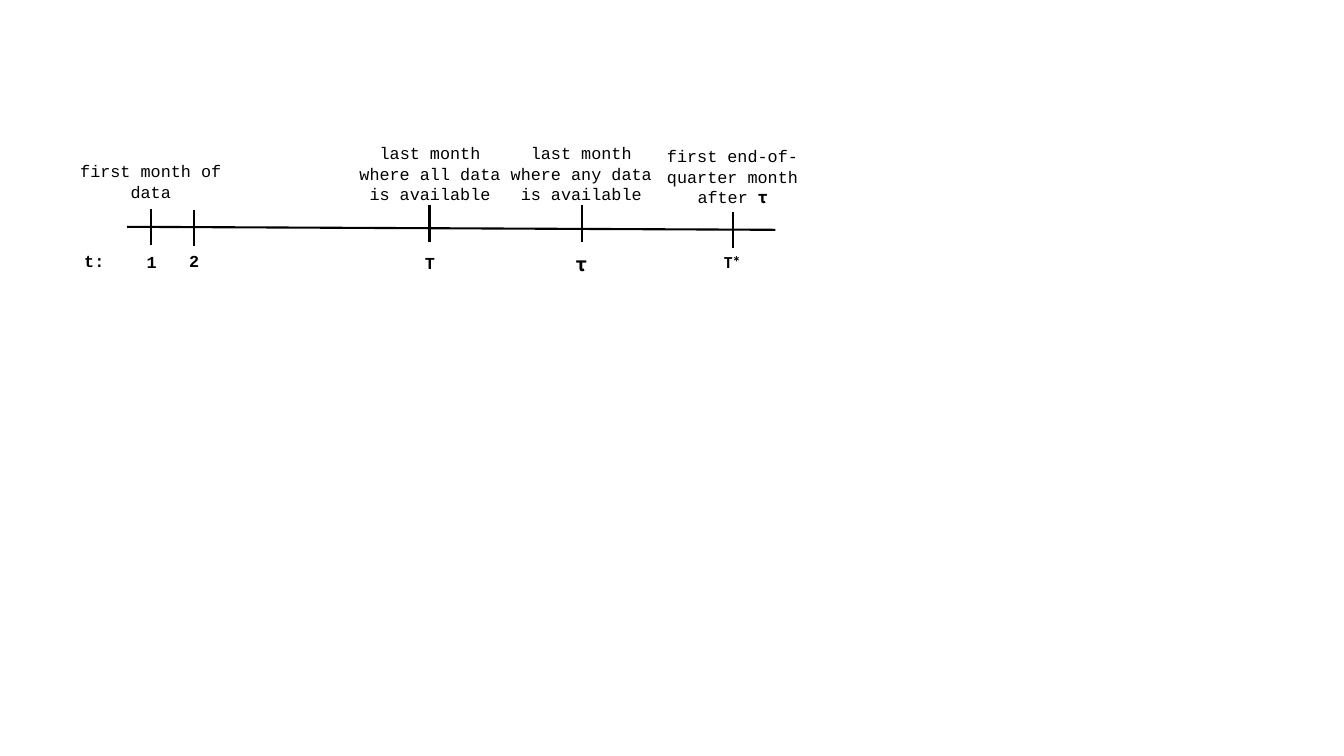
import lxml.etree
import pptx
import pptx.util
import pptx.dml.color
import pptx.enum.shapes
import pptx.enum.text
import pptx.oxml.ns
from pptx.util import Inches

COLOURS = {"ink": "000000", "background": "FFFFFF"}
MONO, SANS = "Courier New", "Calibri"
TAU = "\U0001D6D5"
LABEL_WIDTH = 1.61


class TimelineSlide:
    """Holds the style and the current slide."""

    def __init__(self, deck):
        self.slide = deck.slides.add_slide(deck.slide_layouts[6])
        self.ink = pptx.dml.color.RGBColor.from_string(COLOURS["ink"])
        fill = self.slide.background.fill
        fill.solid()
        fill.fore_color.rgb = pptx.dml.color.RGBColor.from_string(COLOURS["background"])

    def line(self, start, end):
        ends = [Inches(value) for value in (*start, *end)]
        connector = self.slide.shapes.add_connector(
            pptx.enum.shapes.MSO_CONNECTOR.STRAIGHT, *ends)
        connector.line.color.rgb = self.ink
        connector.line.width = pptx.util.Pt(1.5)
        lxml.etree.SubElement(connector._element.spPr, pptx.oxml.ns.qn("a:effectLst"))

    def text(self, left, top, width, height, spans):
        """Add centred text; each span is (words, format values)."""
        box = self.slide.shapes.add_textbox(
            Inches(left), Inches(top), Inches(width), Inches(height))
        box.text_frame.word_wrap = True
        box.text_frame.auto_size = pptx.enum.text.MSO_AUTO_SIZE.SHAPE_TO_FIT_TEXT
        para = box.text_frame.paragraphs[0]
        para.alignment = pptx.enum.text.PP_ALIGN.CENTER
        for words, changes in spans:
            span = para.add_run()
            span.text = words
            values = {"name": MONO, "size": pptx.util.Pt(12), **changes}
            for name, value in values.items():
                setattr(span.font, name, value)
            span.font.color.rgb = self.ink


deck = pptx.Presentation()
deck.slide_width, deck.slide_height = Inches(13.33), Inches(7.5)
timeline = TimelineSlide(deck)

# Time axis and its ticks
timeline.line((1.26, 2.25), (7.69, 2.28))
for x, top, bottom in [(1.5, 2.07, 2.43), (1.92, 2.08, 2.44), (4.26, 2.03, 2.4),
                       (5.77, 2.03, 2.4), (7.27, 2.1, 2.46)]:
    timeline.line((x, top), (x, bottom))

# Descriptions above the axis
for left, top, height, spans in [
    (0.69, 1.55, 0.5, [("first month of data", {})]),
    (3.46, 1.37, 0.71, [("last month where all data is available", {})]),
    (4.96, 1.37, 0.71, [("last month where any data is available", {})]),
    (6.46, 1.4, 0.71, [("first end-of-quarter month after ", {}), (TAU, {"name": SANS})]),
]:
    timeline.text(left, top, LABEL_WIDTH, height, spans)

# Period symbols below the axis
for left, top, width, height, symbol, changes in [
    (0.13, 2.44, LABEL_WIDTH, 0.3, "t:", {}),
    (0.98, 2.45, 1.05, 0.3, "1", {}),
    (1.53, 2.44, 0.79, 0.3, "2", {}),
    (3.46, 2.46, LABEL_WIDTH, 0.3, "T", {}),
    (4.96, 2.45, LABEL_WIDTH, 0.34, TAU, {"name": SANS, "size": pptx.util.Pt(14)}),
    (6.46, 2.45, LABEL_WIDTH, 0.3, "T*", {"name": SANS}),
]:
    timeline.text(left, top, width, height, [(symbol, {"bold": True, **changes})])

deck.save("out.pptx")
